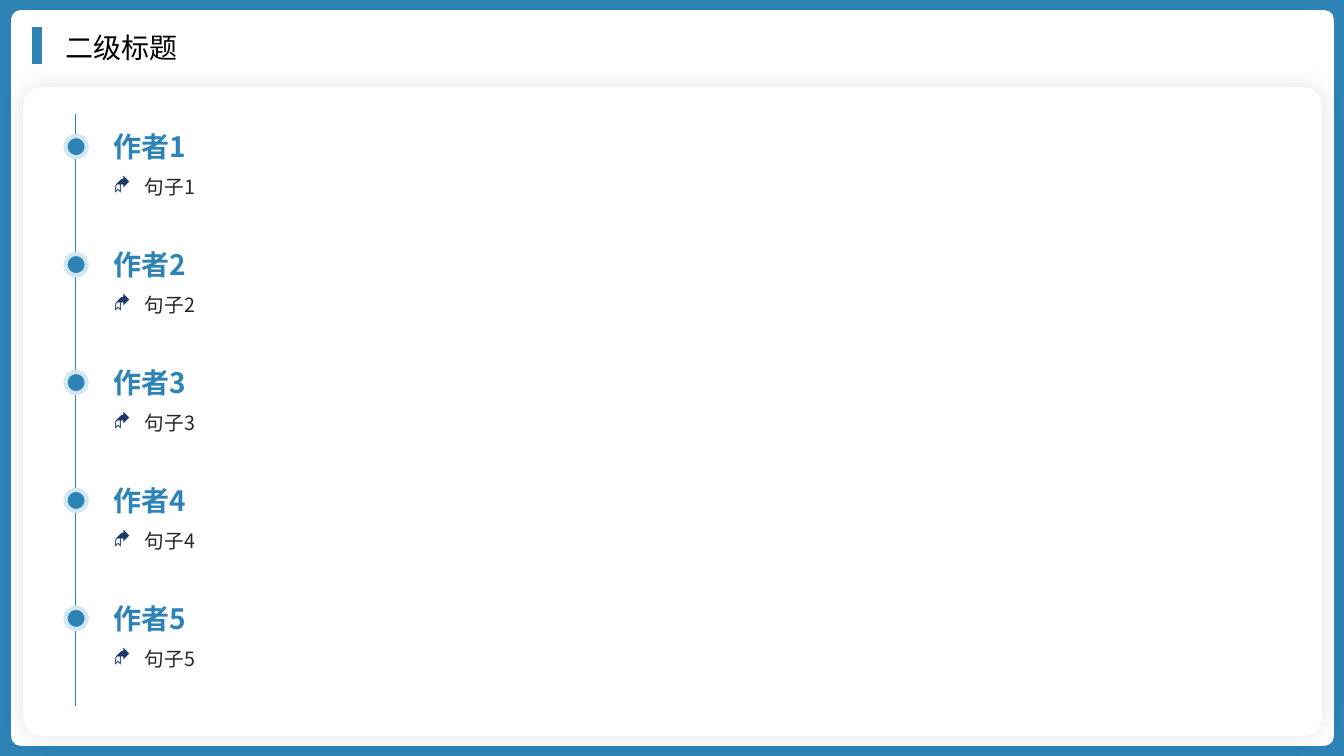
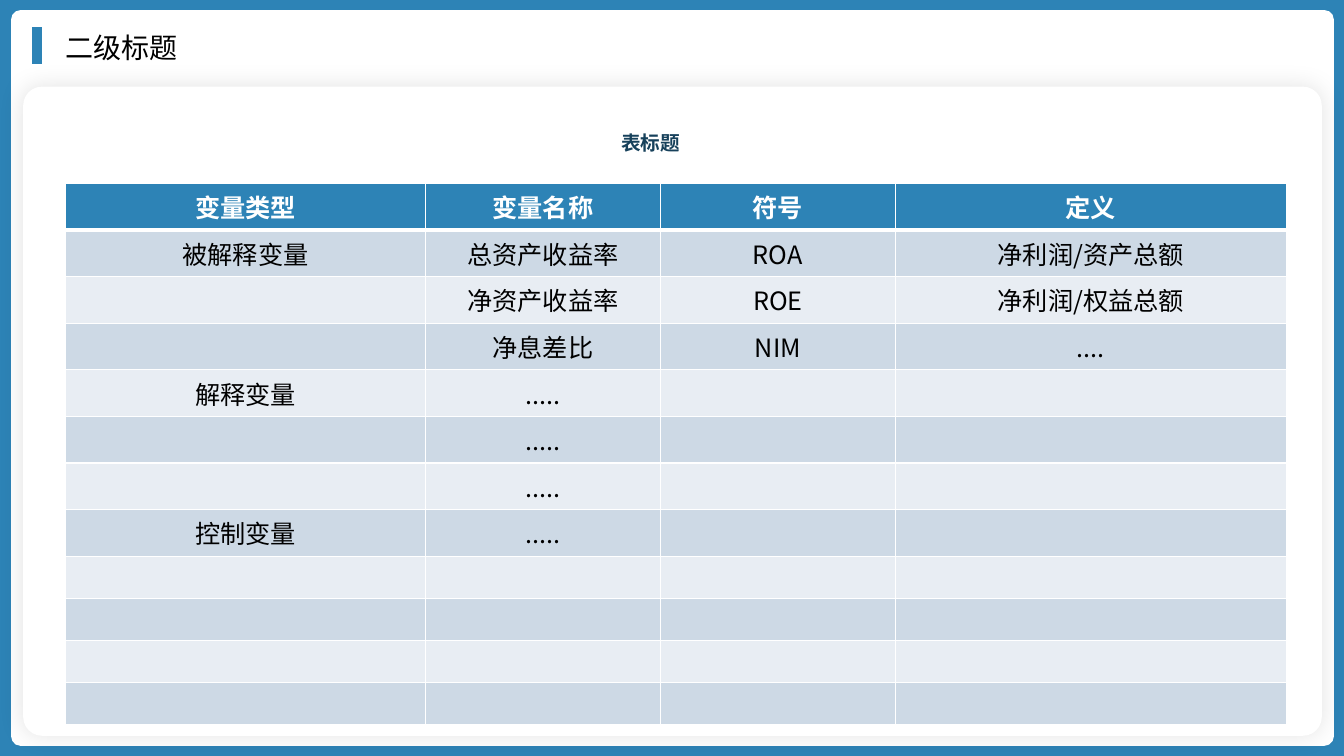
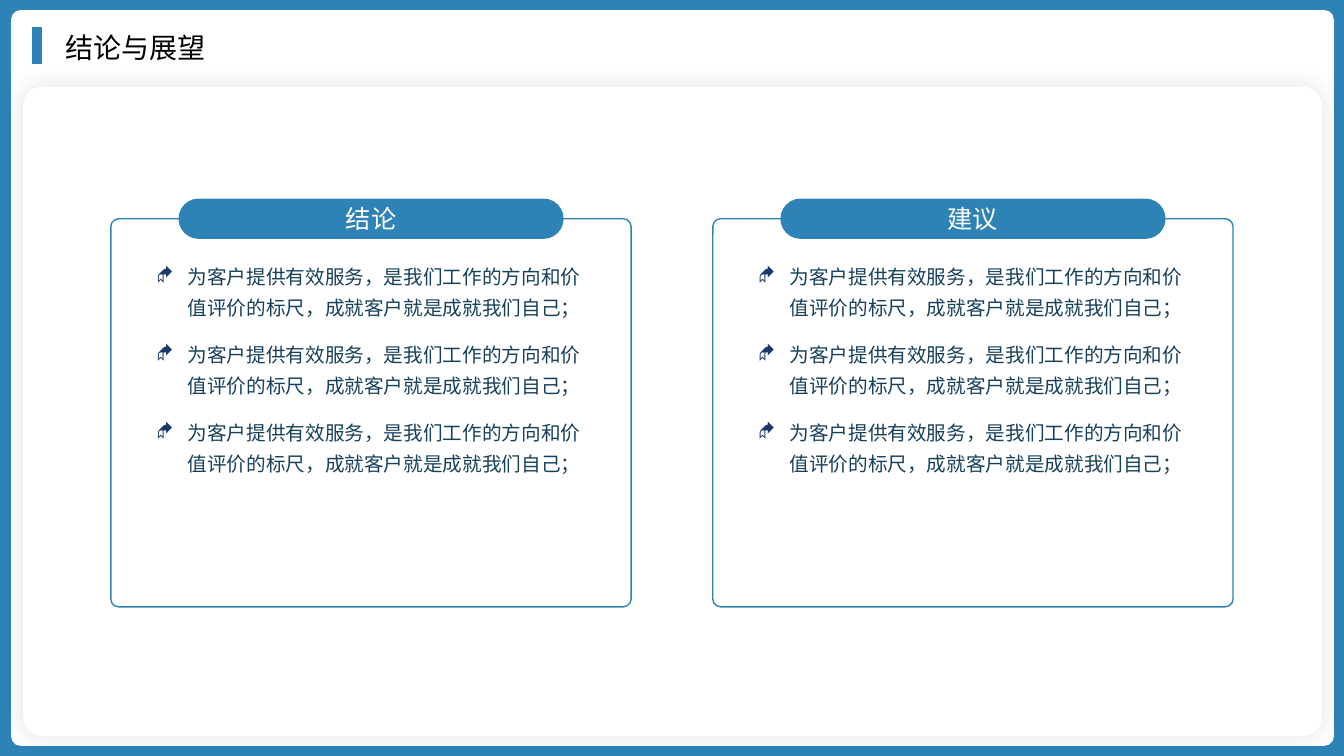
from lxml import etree
from pptx import Presentation
from pptx import util as u
from pptx.dml.color import RGBColor
from pptx.enum import shapes, text
from pptx.oxml import ns

BLUE, PALE_BLUE, NAVY, INK = "2D83B6", "D2E7F4", "1B3868", "17415B"
WHITE, BLACK, CHARCOAL = "FFFFFF", "000000", "262626"
BANDS = ("CDD9E5", "E8EDF3")
CJK_FONT, TITLE_FONT = "Noto Sans CJK SC", "Lato"
TITLE_ONLY, TWO_CONTENT = 5, 3
CENTER = text.PP_ALIGN.CENTER


def color(hex_string):
    return RGBColor.from_string(hex_string)


def add_xml(parent, tag, **attributes):
    return etree.SubElement(parent, ns.qn(tag), attributes)


# Text
def format_paragraph(para, size, hex_string, bold=False, font=CJK_FONT, align=None):
    if align is not None:
        para.alignment = align
    for span in para.runs:
        span.font.size, span.font.bold, span.font.name = u.Pt(size), bold, font
        span.font.color.rgb = color(hex_string)
        add_xml(span.font._element, "a:ea", typeface=CJK_FONT)


def space_paragraph(para, first=True):
    para.line_spacing = 1.3
    para.space_before = u.Pt(0 if first else 6)
    para.space_after = u.Pt(6)


def fill_list(frame, items, hex_string):
    frame.text = "\n".join(items)
    for index, para in enumerate(frame.paragraphs):
        props = para._p.get_or_add_pPr()
        props.set("marL", str(u.Inches(0.31)))
        props.set("indent", str(-u.Inches(0.31)))
        add_xml(add_xml(props, "a:buClr"), "a:srgbClr", val=NAVY)
        add_xml(props, "a:buFont", typeface="Wingdings")
        add_xml(props, "a:buChar", char="◆")
        space_paragraph(para, index == 0)
        format_paragraph(para, 14, hex_string, align=text.PP_ALIGN.LEFT)


def add_text_box(page, left, top, width, height):
    box = page.shapes.add_textbox(*map(u.Inches, (left, top, width, height)))
    box.text_frame.word_wrap = True
    return box.text_frame


# Shapes and lines
def add_box(page, kind, place, fill=None, line=None, weight=1, radius=None):
    box = page.shapes.add_shape(kind, *map(u.Inches, place))
    box.shadow.inherit = False
    if fill:
        box.fill.solid()
        box.fill.fore_color.rgb = color(fill)
    else:
        box.fill.background()
    if line:
        box.line.color.rgb = color(line)
        box.line.width = u.Pt(weight)
    else:
        box.line.fill.background()
    if radius is not None:
        box.adjustments[0] = radius
    return box


def add_vertical_line(page, x, top, bottom, weight):
    line = page.shapes.add_connector(
        shapes.MSO_CONNECTOR.STRAIGHT, *map(u.Inches, (x, top, x, bottom)))
    line.line.color.rgb = color(BLUE)
    line.line.width = u.Pt(weight)
    add_xml(line._element.spPr, "a:effectLst")
    return line


# Frame and title place shared through the slide master
def build_master(deck, page):
    rounded = shapes.MSO_SHAPE.ROUNDED_RECTANGLE
    border = add_box(page, shapes.MSO_SHAPE.RECTANGLE, (0, 0, 13.33, 7.5), BLUE)
    sheet = add_box(page, rounded, (0.11, 0.1, 13.12, 7.3), WHITE, radius=0.013)
    panel = add_box(page, rounded, (0.23, 0.86, 12.88, 6.44), WHITE, radius=0.029)
    glow = add_xml(panel._element.spPr.find(ns.qn("a:effectLst")), "a:outerShdw",
                   blurRad=str(u.Pt(18)), dist="0", dir="0", algn="ctr", rotWithShape="0")
    add_xml(add_xml(glow, "a:srgbClr", val=BLACK), "a:alpha", val="11000")
    mark = add_vertical_line(page, 0.37, 0.27, 0.64, 7.25)
    master = deck.slide_master
    for index, part in enumerate((border, sheet, panel, mark), start=2):
        master.shapes.element.insert(index, part._element)
    place_shape(master.placeholders[0], 0.55, 0.25, 12.42, 0.44)


def place_shape(shape, *place):
    shape.left, shape.top, shape.width, shape.height = map(u.Inches, place)


def add_page(deck, layout, title):
    page = deck.slides.add_slide(deck.slide_layouts[layout])
    frame = page.shapes.title.text_frame
    frame.text = title
    frame.auto_size = text.MSO_AUTO_SIZE.NONE
    format_paragraph(frame.paragraphs[0], 20, BLACK, font=TITLE_FONT,
                     align=text.PP_ALIGN.LEFT)
    return page


# Timeline of authors
def add_author(page, left, top, name, sentence):
    add_box(page, shapes.MSO_SHAPE.OVAL, (left, top + 0.11, 0.21, 0.21),
            BLUE, PALE_BLUE, 3)
    heading = add_text_box(page, left + 0.38, top, 2.3, 0.44)
    heading.text = name
    format_paragraph(heading.paragraphs[0], 20, BLUE, bold=True)
    fill_list(add_text_box(page, left + 0.38, top + 0.38, 11.46, 0.41),
              [sentence], CHARCOAL)


def add_timeline(page, left, top, count, step=1.17):
    add_vertical_line(page, left + 0.1, top, top + 5.87, 0.5)
    for index in range(count):
        add_author(page, left, top + 0.11 + index * step,
                   f"作者{index + 1}", f"句子{index + 1}")


# Table of variables
def set_border(cell, side, weight):
    border = add_xml(cell._tc.get_or_add_tcPr(), f"a:{side}", w=str(u.Pt(weight)))
    add_xml(add_xml(border, "a:solidFill"), "a:srgbClr", val=WHITE)


def format_cell(cell, row, words):
    header = row == 0
    for side in ("lnL", "lnR", "lnT", "lnB"):
        thick = (header and side == "lnB") or (row == 1 and side == "lnT")
        set_border(cell, side, 3 if thick else 1)
    cell.fill.solid()
    cell.fill.fore_color.rgb = color(BLUE if header else BANDS[(row - 1) % 2])
    cell.text = words
    format_paragraph(cell.text_frame.paragraphs[0], 18, WHITE if header else BLACK,
                     bold=header, align=CENTER)


def add_variable_table(page, left, top, widths, height, rows):
    table = page.shapes.add_table(
        len(rows), len(widths),
        *map(u.Inches, (left, top, sum(widths), height))).table
    for column, width in zip(table.columns, widths):
        column.width = u.Inches(width)
    for row, words in enumerate(rows):
        for column, word in enumerate(words):
            format_cell(table.cell(row, column), row, word)


def add_table_caption(page, left, top, caption):
    frame = add_text_box(page, left, top, 5.57, 0.41)
    frame.text = caption
    space_paragraph(frame.paragraphs[0])
    format_paragraph(frame.paragraphs[0], 14, INK, bold=True, align=CENTER)


# Framed card with a heading pill and a list
def add_card(page, body, left, top, heading, items):
    rounded = shapes.MSO_SHAPE.ROUNDED_RECTANGLE
    add_box(page, rounded, (left, top + 0.2, 5.16, 3.85), line=BLUE, radius=0.02)
    pill = add_box(page, rounded, (left + 0.67, top, 3.82, 0.4), BLUE, radius=0.5)
    pill.text_frame.text = heading
    format_paragraph(pill.text_frame.paragraphs[0], 18, WHITE, align=CENTER)
    place_shape(body, left + 0.35, top + 0.54, 4.47, 2.27)
    body.text_frame.auto_size = text.MSO_AUTO_SIZE.NONE
    fill_list(body.text_frame, items, INK)


def main():
    deck = Presentation()
    deck.slide_width, deck.slide_height = u.Inches(13.33), u.Inches(7.5)

    authors = add_page(deck, TITLE_ONLY, "二级标题")
    build_master(deck, authors)
    add_timeline(authors, 0.65, 1.13, 5)

    variables = add_page(deck, TITLE_ONLY, "二级标题")
    blank = ("",) * 4
    add_variable_table(variables, 0.65, 1.82, (3.57, 2.33, 2.33, 3.88), 5, [
        ("变量类型", "变量名称", "符号", "定义"),
        ("被解释变量", "总资产收益率", "ROA", "净利润/资产总额"),
        ("", "净资产收益率", "ROE", "净利润/权益总额"),
        ("", "净息差比", "NIM", "...."),
        ("解释变量", ".....", "", ""),
        ("", ".....", "", ""),
        ("", ".....", "", ""),
        ("控制变量", ".....", "", ""),
        blank, blank, blank, blank,
    ])
    add_table_caption(variables, 3.67, 1.18, "表标题")

    closing = add_page(deck, TWO_CONTENT, "结论与展望")
    points = ["为客户提供有效服务，是我们工作的方向和价值评价的标尺，成就客户就是成就我们自己；"] * 3
    for index, heading in enumerate(("结论", "建议")):
        add_card(closing, closing.placeholders[index + 1], 1.1 + index * 5.97, 1.97,
                 heading, points)

    deck.save("out.pptx")


if __name__ == "__main__":
    main()
